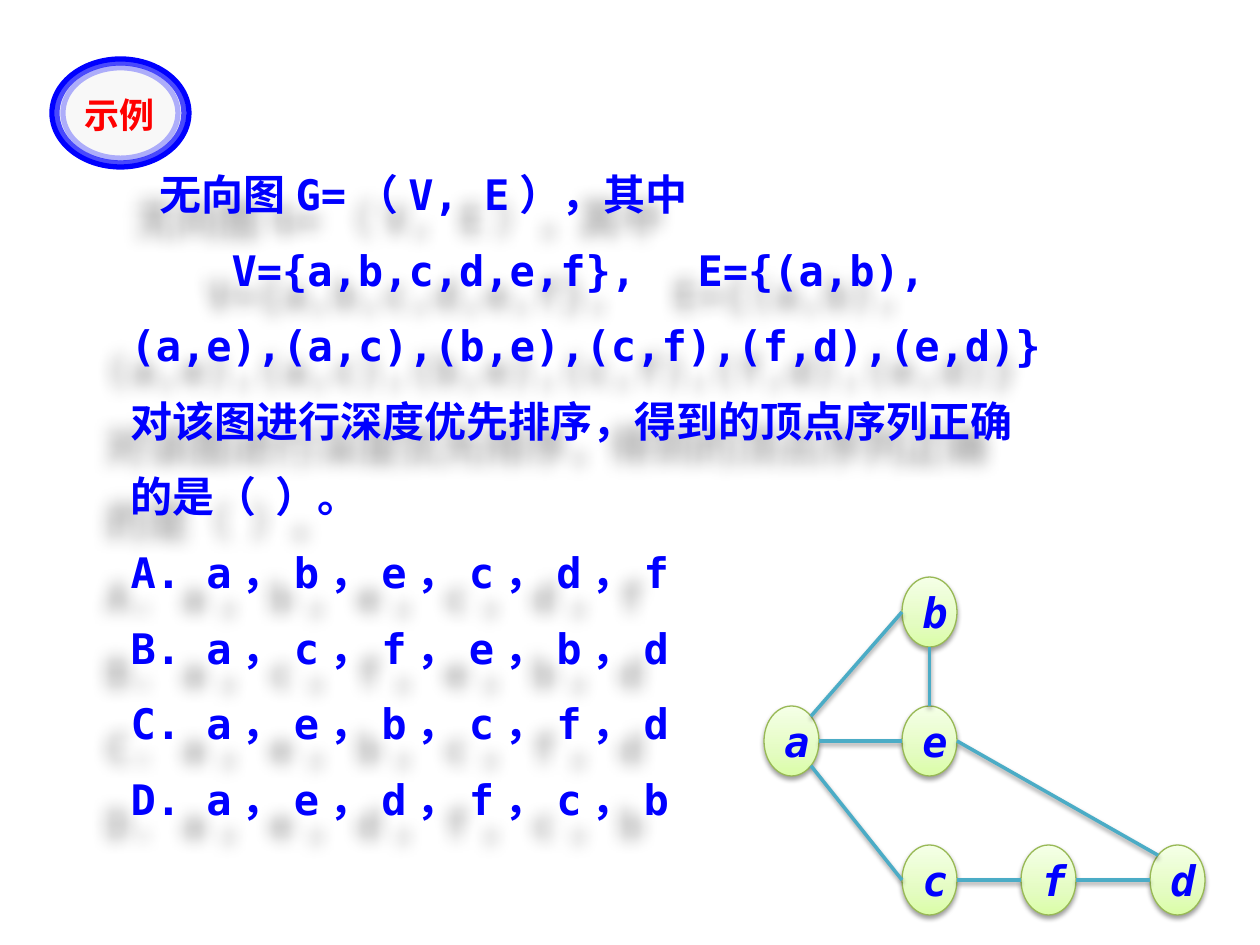
from math import cos, sin, radians
from pptx import Presentation
from pptx.dml.color import RGBColor
from pptx.enum.shapes import MSO_CONNECTOR, MSO_SHAPE
from pptx.enum.text import MSO_ANCHOR, MSO_AUTO_SIZE, PP_ALIGN
from pptx.oxml import parse_xml
from pptx.oxml.ns import nsdecls, qn
from pptx.util import Pt

SCALE = 914400 / 126
HUES = {"blue": "0000FF", "red": "FF0000", "disc": "F8F8F8", "edge": "4BACC6",
        "rim": "98B955", "low": "DAFDA7", "mid": "E4FCC2", "high": "F5FFE7",
        "shade": "000000"}
MONO, CJK = "DejaVu Sans Mono", "Noto Sans CJK JP"
BODY = {"name": MONO, "size": Pt(24), "bold": True, "italic": False}
NODE = {**BODY, "italic": True}
BADGE = {**BODY, "name": CJK, "size": Pt(20)}
SOFT = {"alpha": 38, "blur": 5, "dist": 3, "turn": 90}
DEEP = {"alpha": 35, "blur": 16, "dist": 35, "turn": 135}
LINES = [
    ("无向图G=（V, E），其中", 29),
    ("V={a,b,c,d,e,f},\tE={(a,b),(a,e),(a,c),(b,e),(c,f),(f,d),(e,d)}", 101),
    ("对该图进行深度优先排序，得到的顶点序列正确的是（  ）。\nA. a，b，e，c，d，f", 0),
    ("B. a，c，f，e，b，d", 0),
    ("C. a，e，b，c，f，d", 0),
    ("D. a，e，d，f，c，b", 0),
]
NODES = {"a": (0, 129), "b": (138, 0), "e": (138, 129),
         "c": (138, 268), "f": (257, 268), "d": (386, 268)}
EDGES = [("a", -45, "b", 180), ("a", 0, "e", 180), ("a", 45, "c", 180),
         ("c", 0, "f", 180), ("f", 0, "d", 180), ("e", 0, "d", 225),
         ("b", 90, "e", -90)]
WIDE, HIGH = 55, 70


def px(*sizes):
    """Turn px into EMU."""
    return [round(size * SCALE) for size in sizes]


def hue(name):
    """Look up a colour."""
    return RGBColor.from_string(HUES[name])


def place(shape, *box):
    """Move a shape to a px box."""
    for key, size in zip(("left", "top", "width", "height"), px(*box)):
        setattr(shape, key, size)


def style(run, form, ink):
    """Apply font values to a run."""
    for key, value in form.items():
        setattr(run.font, key, value)
    run.font.color.rgb = hue(ink)
    font = parse_xml(f'<a:ea {nsdecls("a")} typeface="{CJK}"/>')
    run.font._element.find(qn("a:latin")).addnext(font)


def shade(shape, alpha, blur, dist, turn):
    """Give a shape an outer shadow."""
    blur, dist = px(blur, dist)
    shape._element.spPr.append(parse_xml(
        f'<a:effectLst {nsdecls("a")}><a:outerShdw blurRad="{blur}" dist="{dist}" '
        f'dir="{turn * 60000}" algn="ctr" rotWithShape="0">'
        f'<a:srgbClr val="{HUES["shade"]}"><a:alpha val="{alpha * 1000}"/>'
        '</a:srgbClr></a:outerShdw></a:effectLst>'))


def stroke(shape, ink, width):
    """Set the line colour and width."""
    shape.line.color.rgb = hue(ink)
    shape.line.width = Pt(width)


def badge(slide, x, y, wide, high):
    """Draw the ringed badge that holds the title."""
    for inset, alpha in ((0, 100), (5, 70), (11, 30)):
        ring = slide.shapes.add_shape(MSO_SHAPE.OVAL, *px(
            x + inset, y + inset * 0.8, wide - 2 * inset, high - 1.6 * inset))
        ring.shadow.inherit = False
        stroke(ring, "blue", 3)
        if alpha == 100:
            ring.fill.solid()
            ring.fill.fore_color.rgb = hue("disc")
        else:
            ring.fill.background()
            ink = ring.line._ln.find(".//" + qn("a:srgbClr"))
            ink.append(parse_xml(f'<a:alpha {nsdecls("a")} val="{alpha * 1000}"/>'))
    title = slide.shapes.title
    place(title, x + 7, y + 31, wide - 16, 49)
    frame = title.text_frame
    frame.text = "示例"
    frame.auto_size = MSO_AUTO_SIZE.NONE
    frame.vertical_anchor = MSO_ANCHOR.MIDDLE
    frame.paragraphs[0].alignment = PP_ALIGN.CENTER
    style(frame.paragraphs[0].runs[0], BADGE, "red")
    slide.shapes._spTree.append(title._element)


def question(slide, *box):
    """Fill the body with the question and its choices."""
    body = slide.placeholders[1]
    place(body, *box)
    shade(body, **DEEP)
    frame = body.text_frame
    frame.word_wrap = True
    frame.auto_size = MSO_AUTO_SIZE.NONE
    for i, (text, indent) in enumerate(LINES):
        para = frame.add_paragraph() if i else frame.paragraphs[0]
        para.text = text
        para.line_spacing = Pt(43.2)
        para.space_before = Pt(0)
        props = para._p.get_or_add_pPr()
        props.set("marL", "0")
        props.set("indent", str(px(indent)[0]))
        props.append(parse_xml(f'<a:buNone {nsdecls("a")}/>'))
        if "\t" in text:
            props.append(parse_xml(f'<a:tabLst {nsdecls("a")}>'
                                   f'<a:tab pos="{px(606)[0]}" algn="l"/></a:tabLst>'))
        for run in para.runs:
            style(run, BODY, "blue")


def node(slide, name, x, y):
    """Draw one graph node."""
    oval = slide.shapes.add_shape(MSO_SHAPE.OVAL, *px(x, y, WIDE, HIGH))
    stops = "".join(f'<a:gs pos="{pos * 1000}"><a:srgbClr val="{HUES[ink]}"/></a:gs>'
                    for pos, ink in ((0, "low"), (35, "mid"), (100, "high")))
    oval._element.spPr.insert(2, parse_xml(
        f'<a:gradFill {nsdecls("a")} rotWithShape="1"><a:gsLst>{stops}</a:gsLst>'
        '<a:lin ang="16200000" scaled="1"/></a:gradFill>'))
    stroke(oval, "rim", 0.75)
    shade(oval, **SOFT)
    frame = oval.text_frame
    frame.text = name
    frame.vertical_anchor = MSO_ANCHOR.MIDDLE
    frame.paragraphs[0].alignment = PP_ALIGN.CENTER
    style(frame.paragraphs[0].runs[0], NODE, "blue")


def graph(slide, x, y):
    """Draw the graph with its corner at x, y."""
    def rim(name, turn):
        """Find a point on the rim of a node."""
        left, top = NODES[name]
        return px(x + left + WIDE / 2 * (1 + cos(radians(turn))),
                  y + top + HIGH / 2 * (1 + sin(radians(turn))))

    for name, (left, top) in NODES.items():
        node(slide, name, x + left, y + top)
    for start, out, end, into in EDGES:
        edge = slide.shapes.add_connector(
            MSO_CONNECTOR.STRAIGHT, *rim(start, out), *rim(end, into))
        stroke(edge, "edge", 2)
        shade(edge, **SOFT)


def main():
    """Build and save the slide."""
    deck = Presentation()
    deck.slide_width, deck.slide_height = px(1260, 945)
    slide = deck.slides.add_slide(deck.slide_layouts[1])
    question(slide, 118, 137, 945, 776)
    badge(slide, 52, 59, 137, 108)
    graph(slide, 764, 577)
    deck.save("out.pptx")


if __name__ == "__main__":
    main()
